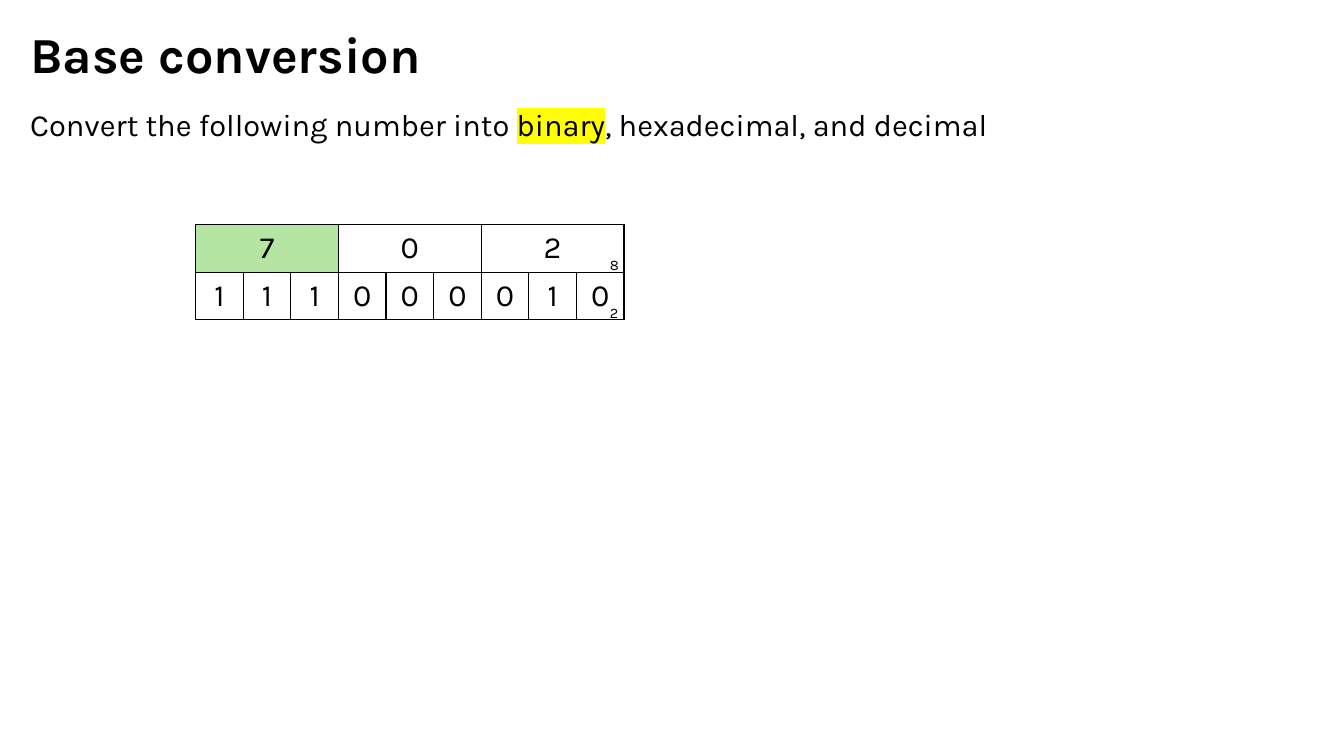
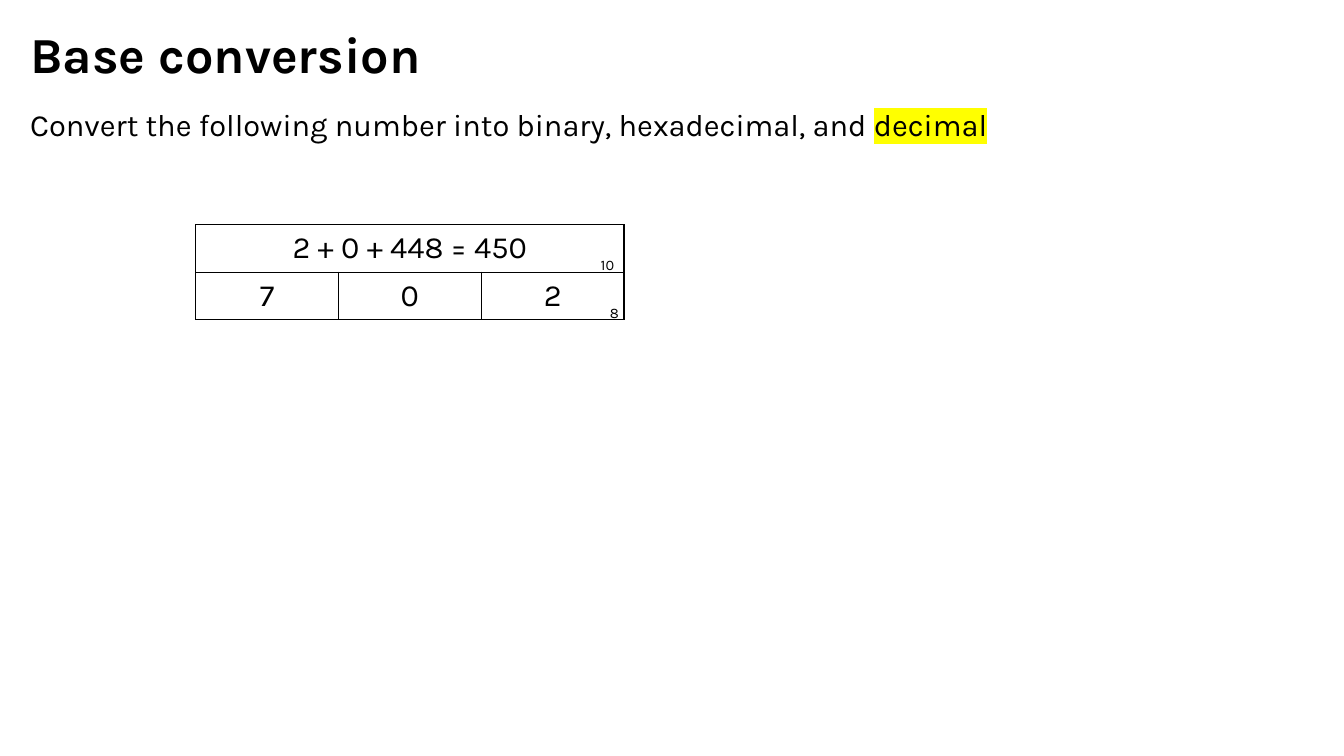
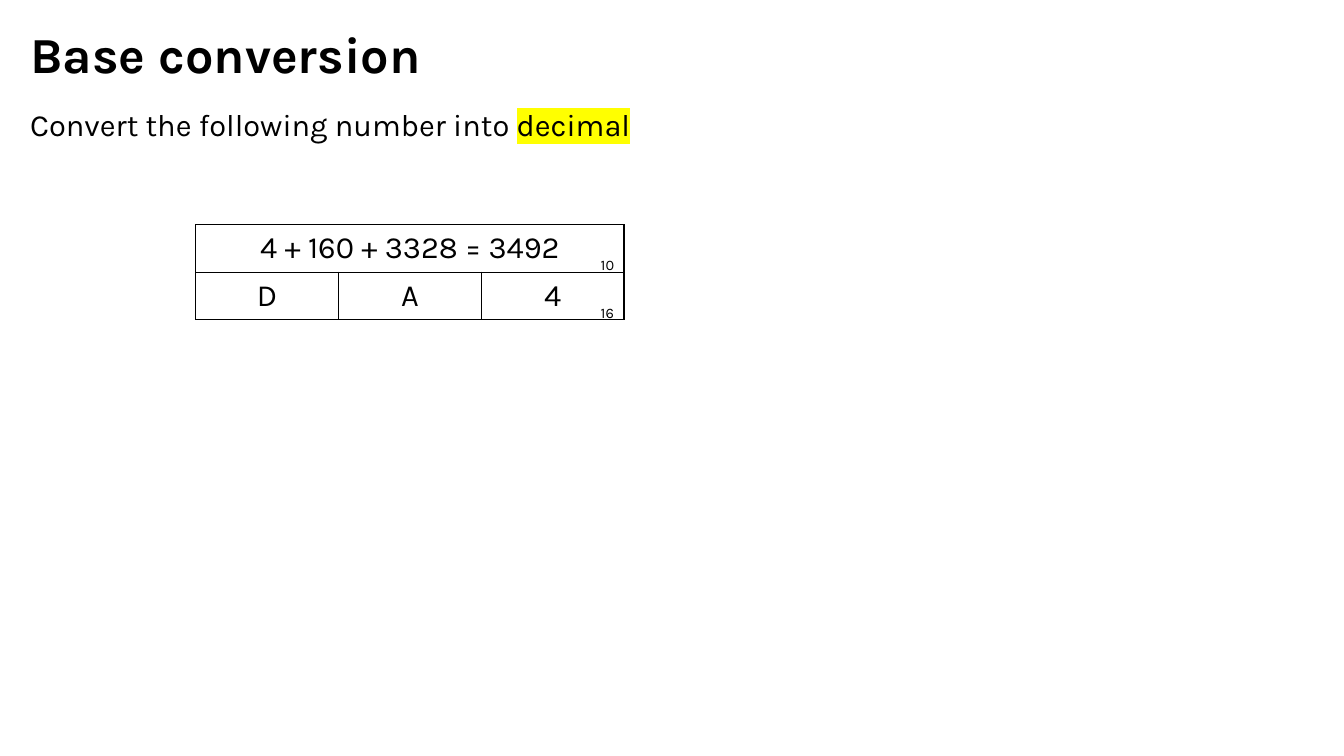
from lxml import etree
from pptx import Presentation
from pptx.dml.color import RGBColor
from pptx.enum.text import MSO_ANCHOR, MSO_AUTO_SIZE, PP_ALIGN
from pptx.oxml.ns import qn
from pptx.util import Inches, Pt

LEFT, CENTER = PP_ALIGN.LEFT, PP_ALIGN.CENTER
MIDDLE = MSO_ANCHOR.MIDDLE
NO_FIT, GROW = MSO_AUTO_SIZE.NONE, MSO_AUTO_SIZE.SHAPE_TO_FIT_TEXT
TITLE_AND_CONTENT = 1

FONT = "Karla"
BLACK, WHITE, GREEN, YELLOW = "000000", "FFFFFF", "B4E5A2", "FFFF00"
TABLE_LEFT, TABLE_TOP, TABLE_WIDTH, ROW_HEIGHT = 1.94, 2.23, 4.25, 0.47


def color(hex_code):
    return RGBColor.from_string(hex_code)


def add_solid_fill(parent, tag, hex_code):
    """Append a colour-bearing element such as a:solidFill and return it."""
    element = etree.SubElement(parent, qn(tag))
    etree.SubElement(element, qn("a:srgbClr"), val=hex_code)
    return element


class Deck:
    def __init__(self):
        self.presentation = Presentation()
        self.presentation.slide_width = Inches(13.33)
        self.presentation.slide_height = Inches(7.5)
        self.slide = None

    def add_slide(self, title, prompt):
        layout = self.presentation.slide_layouts[TITLE_AND_CONTENT]
        self.slide = self.presentation.slides.add_slide(layout)
        heading, body = self.slide.placeholders
        paragraph = self.place(heading, 0.2, 0.17, 12.93, 0.71)
        self.add_run(paragraph, title, 36, bold=True)

        paragraph = self.place(body, 0.2, 1, 12.81, 0.47)
        properties = paragraph._p.get_or_add_pPr()
        properties.set("marL", "0")
        properties.set("indent", "0")
        etree.SubElement(properties, qn("a:buNone"))
        paragraph.space_before = Pt(0)
        for text, highlight in prompt:
            self.add_run(paragraph, text, 22, highlight=highlight)

    def place(self, shape, left, top, width, height, fit=NO_FIT):
        """Position a text shape and return its first paragraph."""
        shape.left, shape.top = Inches(left), Inches(top)
        shape.width, shape.height = Inches(width), Inches(height)
        frame = shape.text_frame
        frame.word_wrap = True
        frame.auto_size = fit
        paragraph = frame.paragraphs[0]
        paragraph.alignment = LEFT
        return paragraph

    def add_run(self, paragraph, text, size, bold=False, highlight=None):
        run = paragraph.add_run()
        run.text = text
        run.font.size = Pt(size)
        run.font.bold = bold
        run.font.color.rgb = color(BLACK)
        if highlight:
            add_solid_fill(run._r.get_or_add_rPr(), "a:highlight", highlight)
        run.font.name = FONT
        return run

    def add_digit_table(self, rows, bases):
        """Draw rows of (text, fill) cells, each row spread evenly over the
        columns, with each row's base as a subscript at its right end."""
        columns = max(len(row) for row in rows)
        table = self.slide.shapes.add_table(
            len(rows), columns, Inches(TABLE_LEFT), Inches(TABLE_TOP),
            Inches(TABLE_WIDTH), Inches(ROW_HEIGHT * len(rows))).table
        table.first_row = table.horz_banding = False
        for column in table.columns:
            column.width = Inches(TABLE_WIDTH / columns)
        for cell in table.iter_cells():
            self.add_borders(cell)
        for row_index, (row, base) in enumerate(zip(rows, bases)):
            span = columns // len(row)
            for position, (text, fill) in enumerate(row):
                first = position * span
                cell = table.cell(row_index, first)
                if span > 1:
                    cell.merge(table.cell(row_index, first + span - 1))
                self.fill_cell(cell, text, fill)
            self.add_base(base, row_index)

    def add_borders(self, cell):
        properties = cell._tc.get_or_add_tcPr()
        for side in ("a:lnL", "a:lnR", "a:lnT", "a:lnB"):
            line = etree.SubElement(properties, qn(side), w=str(Pt(1)))
            add_solid_fill(line, "a:solidFill", BLACK)

    def fill_cell(self, cell, text, fill):
        if fill:
            cell.fill.solid()
            cell.fill.fore_color.rgb = color(fill)
        else:
            cell.fill.background()
        cell.vertical_anchor = MIDDLE
        paragraph = cell.text_frame.paragraphs[0]
        paragraph.alignment = CENTER
        self.add_run(paragraph, text, 22)

    def add_base(self, base, row_index):
        left = 6.04 - 0.09 * len(base)
        box = self.slide.shapes.add_textbox(0, 0, 0, 0)
        paragraph = self.place(box, left, 2.32 + 0.48 * row_index,
                               12.61 - left, 0.4, GROW)
        run = self.add_run(paragraph, base, 18)
        run._r.get_or_add_rPr().set("baseline", "-25000")

    def save(self):
        self.presentation.save("out.pptx")


def plain(digits):
    return [(digit, None) for digit in digits]


def main():
    title = "Base conversion"
    request = "Convert the following number into "
    conversions = [
        ([(request, None), ("binary", YELLOW),
          (", hexadecimal, and decimal", None)],
         [[("7", GREEN), ("0", WHITE), ("2", WHITE)], plain("111000010")],
         ("8", "2")),
        ([(request + "binary, hexadecimal, and ", None),
          ("decimal", YELLOW)],
         [[("2 + 0 + 448 = 450", WHITE)], plain("702")],
         ("10", "8")),
        ([(request, None), ("decimal", YELLOW)],
         [[("4 + 160 + 3328 = 3492", WHITE)], plain("DA4")],
         ("10", "16")),
    ]
    deck = Deck()
    for prompt, rows, bases in conversions:
        deck.add_slide(title, prompt)
        deck.add_digit_table(rows, bases)
    deck.save()


if __name__ == "__main__":
    main()
